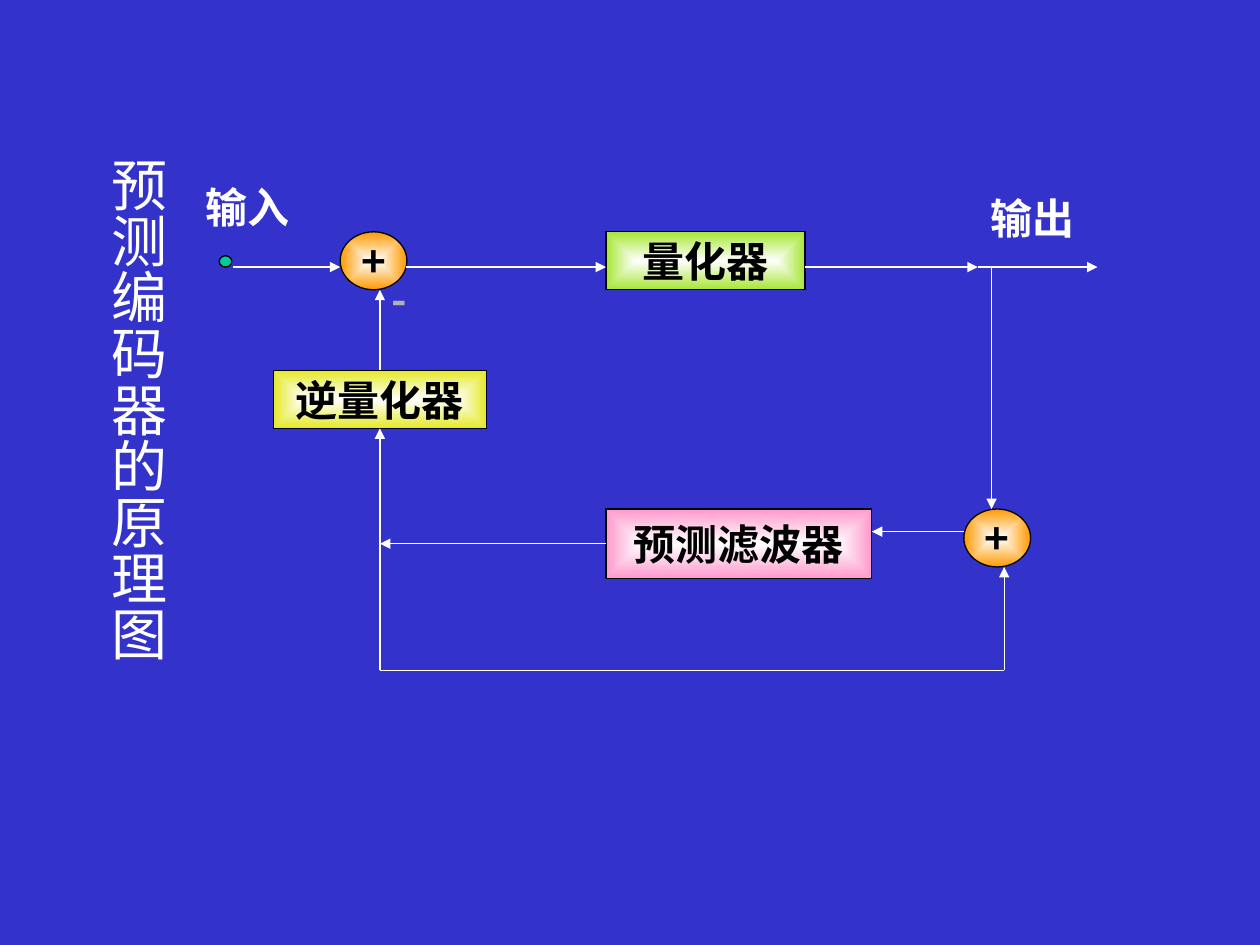
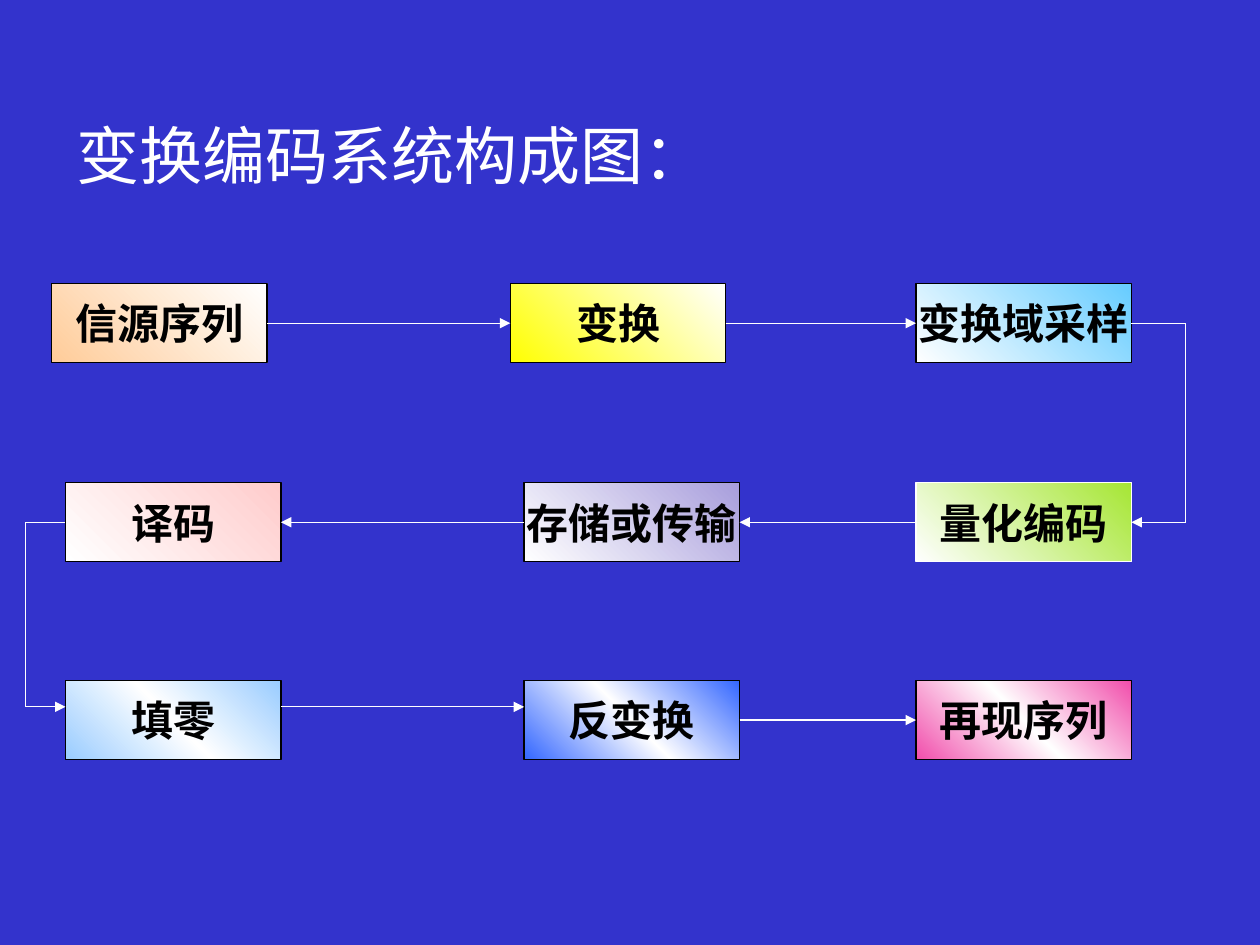
"""Builds two slides on predictive coding and transform coding."""
from dataclasses import dataclass

from pptx import Presentation
from pptx.dml.color import RGBColor
from pptx.enum.shapes import MSO_CONNECTOR, MSO_SHAPE
from pptx.enum.text import MSO_ANCHOR as Anchor, MSO_AUTO_SIZE as AutoSize, PP_ALIGN as Align
from pptx.oxml import parse_xml
from pptx.oxml.ns import nsdecls, qn
from pptx.oxml.xmlchemy import OxmlElement
from pptx.util import Inches, Pt


@dataclass(frozen=True)
class Theme:
    background: str = "3333CC"
    light: str = "FFFFFF"
    dark: str = "000000"
    muted: str = "B2B2B2"
    orange: str = "FF9900"
    green: str = "A6E634"
    dot: str = "00CC99"
    chinese: str = "Noto Sans CJK SC"
    latin: str = "Arial"
    serif: str = "Times New Roman"
    label_size: int = 24
    vertical_size: int = 32
    title_size: int = 36
    line_width: float = 0.75


theme = Theme()


def write(shape, text, font, size, color, bold=False, align=Align.LEFT, anchor=Anchor.TOP, wrap=True):
    frame = shape.text_frame
    frame.text = text
    frame.word_wrap = wrap
    frame.auto_size = AutoSize.NONE
    frame.vertical_anchor = anchor
    para = frame.paragraphs[0]
    para.alignment = align
    para.space_before = Pt(0)
    for span in para.runs:
        span.font.name = font
        span.font.size = Pt(size)
        span.font.bold = bold
        span.font.color.rgb = RGBColor.from_string(color)
        east_asian = OxmlElement("a:ea")
        east_asian.set("typeface", theme.chinese)
        span.font._element.find(qn("a:latin")).addnext(east_asian)


def link(page, boxes, start, end, arrow=True, color=theme.light):
    glued = [isinstance(place[0], str) for place in (start, end)]
    points = [(0, 0) if joined else place for joined, place in zip(glued, (start, end))]
    line = page.shapes.add_connector(
        MSO_CONNECTOR.STRAIGHT, *[Inches(value) for point in points for value in point])
    if glued[0]:
        line.begin_connect(boxes[start[0]], start[1])
    if glued[1]:
        line.end_connect(boxes[end[0]], end[1])
    line.line.width = Pt(theme.line_width)
    line.line.color.rgb = RGBColor.from_string(color)
    if arrow:
        tail = OxmlElement("a:tailEnd")
        tail.set("type", "triangle")
        line.line._get_or_add_ln().append(tail)
    line._element.spPr.append(OxmlElement("a:effectLst"))


deck = Presentation()
deck.slide_width, deck.slide_height = Inches(10), Inches(7.5)
backdrop = deck.slide_master.background.fill
backdrop.solid()
backdrop.fore_color.rgb = RGBColor.from_string(theme.background)
title_only = deck.slide_layouts[5]
predictor = deck.slides.add_slide(title_only)
transform = deck.slides.add_slide(title_only)

for page, text, area, font, size, anchor in [
    (predictor, "预测编码器的原理图", (0.6, 1.15, 0.75, 4.4), theme.chinese, theme.vertical_size, Anchor.TOP),
    (transform, "变换编码系统构成图：", (0.51, 0.6, 9, 1.25), theme.serif, theme.title_size, Anchor.MIDDLE),
]:
    title = page.shapes.title
    title.left, title.top, title.width, title.height = [Inches(value) for value in area]
    write(title, text, font, size, theme.light, anchor=anchor)

heading = predictor.shapes.title.text_frame
heading.margin_left = heading.margin_right = Inches(0.05)
heading.margin_top = heading.margin_bottom = Inches(0.1)
heading.paragraphs[0].line_spacing = 0.9
heading._txBody.bodyPr.set("vert", "eaVert")

RECT, OVAL = MSO_SHAPE.RECTANGLE, MSO_SHAPE.OVAL
CENTER_SHADE = '<a:path path="rect"><a:fillToRect l="50000" t="50000" r="50000" b="50000"/></a:path>'
DIAGONAL_SHADE = '<a:lin ang="18900000" scaled="1"/>'

parts = [
    (predictor, kind, area, text, theme.chinese, theme.dark, colors, CENTER_SHADE)
    for kind, area, text, colors in [
        (RECT, (4.81, 1.84, 1.58, 0.46), "量化器", [theme.light, theme.green]),
        (RECT, (2.17, 2.94, 1.69, 0.46), "逆量化器", [theme.light, "E4E925"]),
        (RECT, (4.81, 4.04, 2.11, 0.55), "预测滤波器", [theme.light, "FF99CC"]),
        (OVAL, (7.65, 4.04, 0.53, 0.46), "+", [theme.light, theme.orange]),
        (OVAL, (2.7, 1.84, 0.53, 0.46), "+", [theme.light, theme.orange]),
        (OVAL, (1.74, 2.03, 0.1, 0.09), "", [theme.dot]),
    ]
]

box_width, box_height = 1.71, 0.63
row_tops = [2.25, 3.83, 5.4]
stages = [
    [(0.41, "信源序列", ["FFCC99", theme.light]),
     (4.05, "变换", ["FFFF00", theme.light]),
     (7.27, "变换域采样", [theme.light, "66CCFF"])],
    [(0.52, "译码", [theme.light, "FFCCCC"]),
     (4.16, "存储或传输", [theme.light, "A89EDC"]),
     (7.27, "量化编码", [theme.light, theme.green])],
    [(0.52, "填零", ["99CCFF", theme.light, "99CCFF"]),
     (4.16, "反变换", ["3366FF", theme.light, "3366FF"]),
     (7.27, "再现序列", ["F14DAB", theme.light, "F14DAB"])],
]
for top, row in zip(row_tops, stages):
    for left, text, colors in row:
        edge = theme.light if text == "量化编码" else theme.dark
        parts.append((transform, RECT, (left, top, box_width, box_height), text,
                      theme.latin, edge, colors, DIAGONAL_SHADE))

boxes = {}
for page, kind, area, text, font, edge, colors, shade in parts:
    box = page.shapes.add_shape(kind, *[Inches(value) for value in area])
    box.shadow.inherit = False
    box.line.width = Pt(theme.line_width)
    box.line.color.rgb = RGBColor.from_string(edge)
    box.fill.solid()
    box.fill.fore_color.rgb = RGBColor.from_string(colors[0])
    if len(colors) > 1:
        stops = "".join(
            f'<a:gs pos="{100000 * index // (len(colors) - 1)}"><a:srgbClr val="{color}"/></a:gs>'
            for index, color in enumerate(colors))
        gradient = parse_xml(
            f'<a:gradFill {nsdecls("a")} rotWithShape="1"><a:gsLst>{stops}</a:gsLst>{shade}</a:gradFill>')
        properties = box._element.spPr
        properties.replace(properties.find(qn("a:solidFill")), gradient)
    write(box, text, font, theme.label_size, theme.dark, True, Align.CENTER, Anchor.MIDDLE, False)
    boxes[text] = box

for text, area, color in [
    ("输入", (1.53, 1.39, 1.06, 0.55), theme.light),
    ("输出", (7.76, 1.48, 1.06, 0.46), theme.light),
    ("-", (3.01, 2.12, 0.53, 0.18), theme.muted),
]:
    label = predictor.shapes.add_textbox(*[Inches(value) for value in area])
    write(label, text, theme.chinese, theme.label_size, color, True)

signal_y, return_y = 2.12, 5.32
feedback_x = 2.17 + 1.69 / 2
for start, end in [
    ((1.85, signal_y), (2.7, signal_y)),
    ((3.22, signal_y), (4.81, signal_y)),
    ((6.39, signal_y), (7.76, signal_y)),
    ((7.76, signal_y), (8.71, signal_y)),
    ((7.87, signal_y), (7.87, 4.04)),
    ((7.65, 4.22), (6.92, 4.22)),
    (("逆量化器", 0), (feedback_x, 2.3)),
    (("预测滤波器", 1), (feedback_x, 4.04 + 0.55 / 2)),
    ((feedback_x, return_y), ("逆量化器", 2)),
    ((7.97, return_y), (7.97, 4.5)),
]:
    link(predictor, boxes, start, end)
link(predictor, boxes, (feedback_x, return_y), (7.97, return_y), arrow=False)

first_y, second_y = [top + box_height / 2 for top in row_tops[:2]]
right_x, left_x, fill_y = 9.41, 0.2, 5.61
for start, end in [
    (("信源序列", 3), ("变换", 1)),
    (("变换", 3), ("变换域采样", 1)),
    ((right_x, second_y), ("量化编码", 3)),
    (("量化编码", 1), ("存储或传输", 3)),
    (("存储或传输", 1), ("译码", 3)),
    ((left_x, fill_y), (0.52, fill_y)),
    ((2.23, fill_y), (4.16, fill_y)),
    (("反变换", 3), ("再现序列", 1)),
]:
    link(transform, boxes, start, end)
for start, end in [
    (("变换域采样", 3), (right_x, first_y)),
    ((right_x, first_y), (right_x, second_y)),
    ((left_x, second_y), ("译码", 1)),
    ((left_x, second_y), (left_x, fill_y)),
]:
    link(transform, boxes, start, end, arrow=False)
link(transform, boxes, (right_x, first_y), (right_x, first_y), color=theme.dark)

deck.save("out.pptx")
